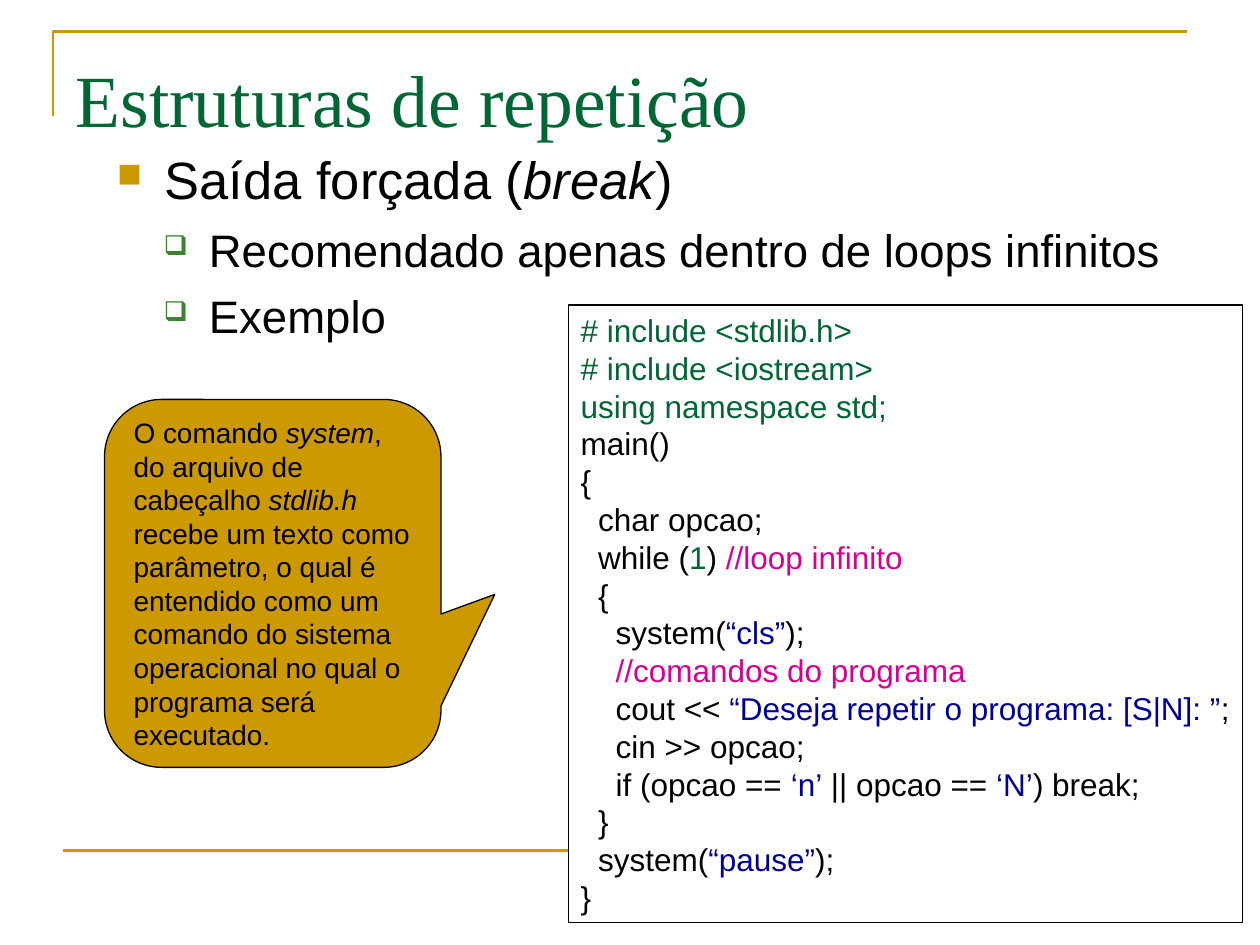
from typing import NamedTuple

from lxml import etree
from pptx import Presentation
from pptx.dml.color import RGBColor
from pptx.enum import shapes, text
from pptx.oxml import ns
from pptx.util import Inches, Pt

COLOURS = {
    "gold": "CC9900",
    "green": "006633",
    "bullet": "3B812F",
    "black": "000000",
    "white": "FFFFFF",
    "pink": "D60093",
    "blue": "000099",
}


class Span(NamedTuple):
    words: str
    colour: str = "black"
    italic: bool = False


class Bullet(NamedTuple):
    mark: str
    colour: str
    percent: int
    indent: float
    hanging: float
    before: float


def rgb(name: str) -> RGBColor:
    return RGBColor.from_string(COLOURS[name])


def write(para, spans: list[Span], size: float, font: str = "Arial") -> None:
    para.alignment = text.PP_ALIGN.LEFT
    for span in spans:
        run = para.add_run()
        run.text = span.words
        formats = {"name": font, "size": Pt(size), "italic": span.italic}
        for key, value in formats.items():
            setattr(run.font, key, value)
        run.font.color.rgb = rgb(span.colour)


def set_frame(frame, **changes) -> None:
    formats = {
        "word_wrap": True,
        "auto_size": text.MSO_AUTO_SIZE.NONE,
        "vertical_anchor": text.MSO_ANCHOR.TOP,
        "margin_left": Inches(0.1),
        "margin_right": Inches(0.1),
        "margin_top": Inches(0.05),
        "margin_bottom": Inches(0.05),
    }
    for key, value in (formats | changes).items():
        setattr(frame, key, value)


def add_bullet(para, bullet: Bullet) -> None:
    props = para._p.get_or_add_pPr()
    props.set("marL", str(Inches(bullet.indent)))
    props.set("indent", str(-Inches(bullet.hanging)))
    colour = etree.SubElement(props, ns.qn("a:buClr"))
    etree.SubElement(colour, ns.qn("a:srgbClr"), val=COLOURS[bullet.colour])
    etree.SubElement(props, ns.qn("a:buSzPct"), val=str(bullet.percent * 1000))
    etree.SubElement(props, ns.qn("a:buChar"), char=bullet.mark)


def add_panel(page, kind, area: tuple, fill: str):
    panel = page.shapes.add_shape(kind, *map(Inches, area))
    panel.shadow.inherit = False
    panel.fill.solid()
    panel.fill.fore_color.rgb = rgb(fill)
    panel.line.color.rgb = rgb("black")
    panel.line.width = Pt(0.75)
    return panel


def paragraph(frame, index: int):
    return frame.paragraphs[0] if index == 0 else frame.add_paragraph()


deck = Presentation()
deck.slide_width, deck.slide_height = Inches(10), Inches(7.5)
page = deck.slides.add_slide(deck.slide_layouts[5])

# Gold frame lines
builder = page.shapes.build_freeform(Inches(0.42), Inches(0.92))
builder.add_line_segments(
    [(Inches(0.42), Inches(0.25)), (Inches(9.42), Inches(0.25))], close=False
)
corner = builder.convert_to_shape()
corner.shadow.inherit = False
corner.fill.background()
footer = page.shapes.add_connector(
    shapes.MSO_CONNECTOR.STRAIGHT, Inches(0.5), Inches(6.75), Inches(9.5), Inches(6.75)
)
etree.SubElement(footer._element.spPr, ns.qn("a:effectLst"))
for rule in (corner, footer):
    rule.line.color.rgb = rgb("gold")
    rule.line.width = Pt(1.5)

# Title
title = page.shapes.title
title.left, title.top, title.width, title.height = map(Inches, (0.5, 0.3, 9, 1.25))
set_frame(title.text_frame, margin_top=Inches(0.13))
write(
    title.text_frame.paragraphs[0],
    [Span("Estruturas de repetição", "green")],
    42,
    "Times New Roman",
)

# Topics
main_bullet = Bullet("■", "gold", 65, 0.38, 0.38, 0)
sub_bullet = Bullet("❑", "bullet", 60, 0.73, 0.36, 6.5)
topics = [
    (0, main_bullet, 30, [Span("Saída forçada ("), Span("break", italic=True), Span(")")]),
    (1, sub_bullet, 26, [Span("Recomendado apenas dentro de loops infinitos")]),
    (1, sub_bullet, 26, [Span("Exemplo")]),
]
body = page.shapes.add_textbox(*map(Inches, (0.83, 1.08, 9.17, 5.58)))
set_frame(body.text_frame, margin_top=Inches(0.09))
for index, (level, bullet, size, spans) in enumerate(topics):
    para = paragraph(body.text_frame, index)
    add_bullet(para, bullet)
    para.level = level
    para.space_before = Pt(bullet.before)
    write(para, spans, size)

# Callout about the system command
callout = add_panel(
    page,
    shapes.MSO_SHAPE.ROUNDED_RECTANGULAR_CALLOUT,
    (0.83, 3.17, 2.67, 2.92),
    "gold",
)
for index, value in enumerate((0.66, 0.03, 0.17)):
    callout.adjustments[index] = value
set_frame(callout.text_frame, vertical_anchor=text.MSO_ANCHOR.MIDDLE)
write(
    callout.text_frame.paragraphs[0],
    [
        Span("O comando "),
        Span("system", italic=True),
        Span(", do arquivo de cabeçalho "),
        Span("stdlib.h", italic=True),
        Span(
            " recebe um texto como parâmetro, o qual é entendido como um comando "
            "do sistema operacional no qual o programa será executado."
        ),
    ],
    16,
)

# Program listing
code = [
    [Span("# include <stdlib.h>", "green")],
    [Span("# include <iostream>", "green")],
    [Span("using namespace std;", "green")],
    [Span("main()")],
    [Span("{")],
    [Span("  char opcao;")],
    [Span("  while ("), Span("1", "green"), Span(") "), Span("//loop infinito", "pink")],
    [Span("  {")],
    [Span("    system("), Span("“cls”", "blue"), Span(");")],
    [Span("    //comandos do programa", "pink")],
    [
        Span("    cout << "),
        Span("“Deseja repetir o programa: [S|N]: ”", "blue"),
        Span(";"),
    ],
    [Span("    cin >> opcao;")],
    [
        Span("    if (opcao == "),
        Span("‘n’", "blue"),
        Span(" || opcao == "),
        Span("‘N’", "blue"),
        Span(") break;"),
    ],
    [Span("  }")],
    [Span("  system("), Span("“pause”", "blue"), Span(");")],
    [Span("}")],
]
listing = add_panel(page, shapes.MSO_SHAPE.RECTANGLE, (4.51, 2.42, 5.35, 4.9), "white")
set_frame(
    listing.text_frame,
    word_wrap=False,
    auto_size=text.MSO_AUTO_SIZE.SHAPE_TO_FIT_TEXT,
)
for index, spans in enumerate(code):
    write(paragraph(listing.text_frame, index), spans, 18)

deck.save("out.pptx")
